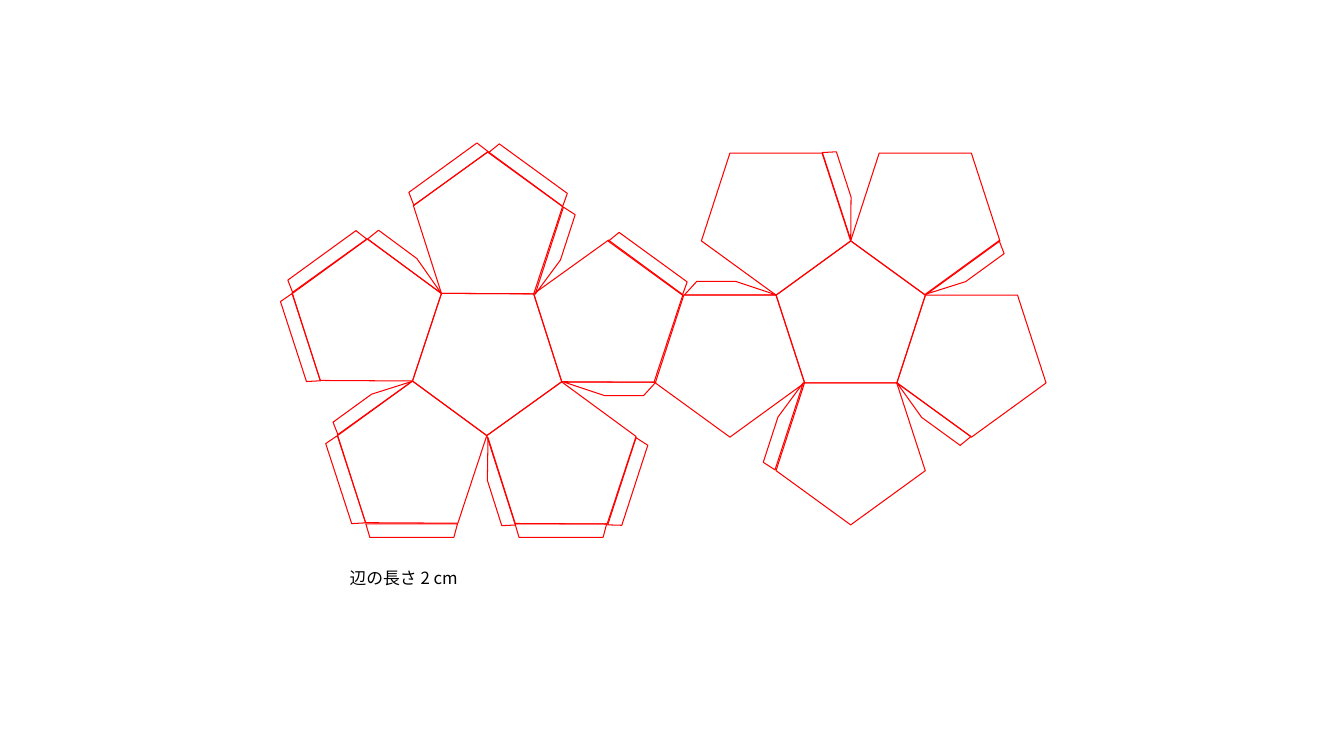
from dataclasses import dataclass
from math import cos, radians, sin
from typing import Any

from lxml import etree
from pptx import Presentation
from pptx import util as u
from pptx.dml.color import RGBColor
from pptx.enum import shapes, text
from pptx.oxml.ns import qn


@dataclass(frozen=True)
class Theme:
    edge: RGBColor = RGBColor(0xFF, 0, 0)
    ink: RGBColor = RGBColor(0, 0, 0)
    font: str = "Noto Sans CJK JP"
    size: u.Pt = u.Pt(12)
    line: u.Pt = u.Pt(0.75)


@dataclass(frozen=True)
class Hub:
    """Middle face of one half of the net: true centre in cm, turn in degrees."""
    x: float
    y: float
    turn: float


@dataclass(frozen=True)
class Tab:
    """Glue flap: corner of its unturned frame in cm, turn, ends of the outer edge."""
    x: float
    y: float
    turn: float
    start: float = 0.1
    end: float = 2.22


THEME = Theme()
FACE_W, FACE_H = 3.76, 3.58
SHIFT = 0.19  # from the middle of the frame to the centre of the pentagon
GAP = 3.2     # between the centres of two faces that share an edge
TAB_W, TAB_H = 2.31, 0.34
MID, SHORT = 1.02, 2.0

HUBS = [Hub(21.44, 8.05, 72), Hub(12.28, 9, 36.3)]
TABS = [
    # Full flaps
    Tab(9.22, 13.2, 0), Tab(12.98, 13.2, 0),
    Tab(6.4, 8.38, 72), Tab(7.54, 11.96, 72),
    Tab(10.11, 4.19, 144), Tab(7.06, 6.4, 144),
    Tab(15.21, 6.45, 216), Tab(12.19, 4.22, 216),
    Tab(14.68, 12.01, 288),
    # Flaps cut back at one end
    Tab(20.09, 4.72, 252, MID), Tab(18.57, 10.52, 108, MID),
    Tab(22.28, 10.29, 36, MID), Tab(23.19, 6.71, 324, MID),
    Tab(12.85, 6.2, 288, MID), Tab(9.14, 6.4, 216.5, MID),
    Tab(8.2, 9.98, 144, MID), Tab(11.33, 12.01, 72.4, MID),
    Tab(17.25, 7.09, 180, MID, SHORT), Tab(14.22, 9.63, 0, MID, SHORT),
]


def apply(item: Any, form: dict[str, Any]) -> None:
    for name, value in form.items():
        setattr(item, name, value)


def style(shape: Any, turn: float) -> None:
    shape.shadow.inherit = False
    shape.fill.background()
    shape.line.fill.solid()
    shape.line.fill.fore_color.rgb = THEME.edge
    apply(shape, {"rotation": turn % 360})
    apply(shape.line, {"width": THEME.line})


def draw_face(net: Any, x: float, y: float, turn: float) -> None:
    """Place a pentagon by its true centre."""
    a = radians(turn)
    left = x + SHIFT * sin(a) - FACE_W / 2
    top = y - SHIFT * cos(a) - FACE_H / 2
    face = net.add_shape(shapes.MSO_SHAPE.REGULAR_PENTAGON,
                         u.Cm(left), u.Cm(top), u.Cm(FACE_W), u.Cm(FACE_H))
    style(face, turn)


def draw_half(net: Any, hub: Hub) -> None:
    """Draw a middle face with its five neighbours."""
    draw_face(net, hub.x, hub.y, hub.turn)
    for k in range(5):
        a = radians(hub.turn + 36 + 72 * k)
        draw_face(net, hub.x + GAP * sin(a), hub.y - GAP * cos(a), hub.turn + 252)


def draw_tab(net: Any, tab: Tab) -> None:
    path = net.build_freeform(u.Cm(tab.start), u.Cm(TAB_H))
    rest = [(tab.end, TAB_H), (TAB_W, 0), (0, 0)]
    path.add_line_segments([(u.Cm(x), u.Cm(y)) for x, y in rest], close=True)
    style(path.convert_to_shape(u.Cm(tab.x), u.Cm(tab.y)), tab.turn)


def draw_note(slide: Any, words: str) -> None:
    box = slide.shapes.add_textbox(u.Cm(8.56), u.Cm(14.17), u.Cm(3.3), u.Cm(0.76))
    apply(box.text_frame, {"word_wrap": True,
                           "auto_size": text.MSO_AUTO_SIZE.SHAPE_TO_FIT_TEXT})
    run = box.text_frame.paragraphs[0].add_run()
    run.text = words
    apply(run.font, {"name": THEME.font, "size": THEME.size})
    run.font.color.rgb = THEME.ink
    # East Asian letters take their own font entry
    props = run.font._element
    etree.SubElement(props, qn("a:ea")).set("typeface", THEME.font)


def main() -> None:
    deck = Presentation()
    apply(deck, {"slide_width": u.Cm(33.87), "slide_height": u.Cm(19.05)})
    slide = deck.slides.add_slide(deck.slide_layouts[6])

    # Edge length
    draw_note(slide, "辺の長さ 2 cm")

    # Net of the dodecahedron
    net = slide.shapes.add_group_shape().shapes
    for hub in HUBS:
        draw_half(net, hub)
    for tab in TABS:
        draw_tab(net, tab)

    deck.save("out.pptx")


if __name__ == "__main__":
    main()
